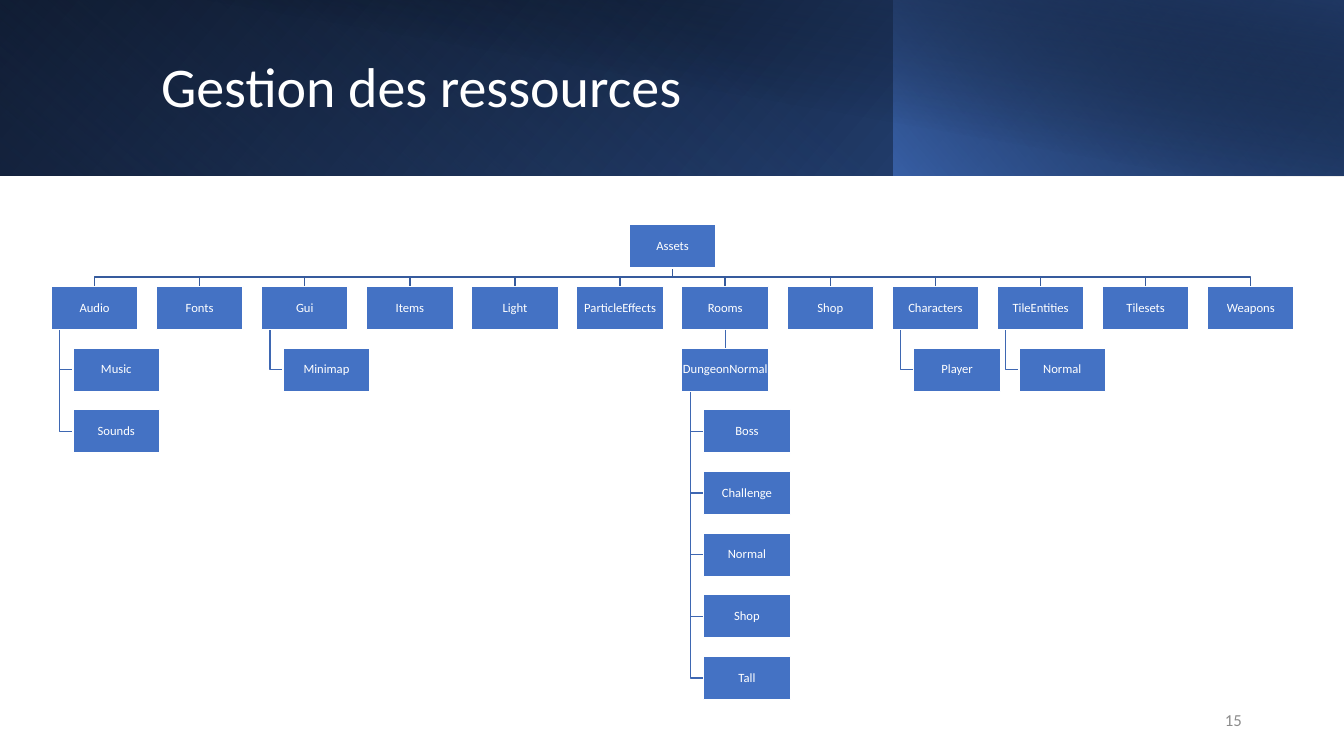
from dataclasses import dataclass

from lxml import etree
from pptx import Presentation
from pptx import util as u
from pptx.dml.color import RGBColor
from pptx.enum import shapes, text
from pptx.oxml import ns


@dataclass(frozen=True)
class Theme:
    font: str = "Calibri"
    white: str = "FFFFFF"
    box: str = "4472C4"
    root_line: str = "365B9D"
    child_line: str = "3E67B2"
    number: str = "8C8C8C"
    black: str = "000000"
    navy: str = "203864"
    blue: str = "2F5597"
    title_size: int = 40
    number_size: int = 12
    box_size: int = 9


theme = Theme()
deck = Presentation()
deck.slide_width, deck.slide_height = u.Pt(960), u.Pt(540)
page = deck.slides.add_slide(deck.slide_layouts[6])


def write(shape, words, size, color, align):
    frame = shape.text_frame
    frame.vertical_anchor = text.MSO_ANCHOR.MIDDLE
    para = frame.paragraphs[0]
    para.text = words
    para.alignment = align
    para.line_spacing = 0.9
    para.font.name = theme.font
    para.font.size = u.Pt(size)
    para.font.color.rgb = RGBColor.from_string(color)
    return frame


def link(points, color):
    corners = [(u.Pt(x), u.Pt(y)) for x, y in points]
    builder = page.shapes.build_freeform(*corners[0])
    builder.add_line_segments(corners[1:], close=False)
    line = builder.convert_to_shape()
    line.shadow.inherit = False
    line.fill.background()
    line.line.color.rgb = RGBColor.from_string(color)
    line.line.width = u.Pt(1)


# Header: layered gradients, each stop is (position, colour, opacity %)
header = [
    (0, 960, 125.3, 0, True, 140, [(0, theme.black, 100), (1, theme.blue, 100)]),
    (0, 639.2, 125.3, 180, True, 230, [(0.2, theme.box, 0), (1, theme.navy, 55)]),
    (638.6, 321.4, 125.3, 0, True, 220, [(0, theme.box, 66), (1, theme.black, 30)]),
    (36, 924, 126, 0, False, 280, [(0.5, theme.black, 0), (0.99, theme.navy, 52)]),
]
for left, width, height, turn, flipped, angle, stops in header:
    band = page.shapes.add_shape(shapes.MSO_SHAPE.RECTANGLE, u.Pt(left), 0, u.Pt(width), u.Pt(height))
    band.shadow.inherit = False
    band.line.fill.background()
    band.rotation = turn
    if flipped:
        band._element.spPr.xfrm.set("flipH", "1")
    band.fill.gradient()
    band.fill.gradient_angle = 360 - angle
    for stop, (position, color, opacity) in zip(band.fill.gradient_stops, stops):
        stop.position = position
        stop.color.rgb = RGBColor.from_string(color)
    for tone, (position, color, opacity) in zip(band._element.spPr.iter(ns.qn("a:srgbClr")), stops):
        etree.SubElement(tone, ns.qn("a:alpha")).set("val", str(opacity * 1000))

# Title and slide number
title = page.shapes.add_textbox(u.Pt(108), u.Pt(23), u.Pt(779), u.Pt(81.4))
write(title, "Gestion des ressources", theme.title_size, theme.white, text.PP_ALIGN.LEFT).word_wrap = True
number = page.shapes.add_textbox(u.Pt(678.2), u.Pt(500.4), u.Pt(216), u.Pt(28.8))
write(number, "15", theme.number_size, theme.number, text.PP_ALIGN.RIGHT).word_wrap = True

# Tree content: folders in order, with the subfolders that hang below them
folders = {
    "Audio": ["Music", "Sounds"],
    "Fonts": [],
    "Gui": ["Minimap"],
    "Items": [],
    "Light": [],
    "ParticleEffects": [],
    "Rooms": [],
    "Shop": [],
    "Characters": ["Player"],
    "TileEntities": ["Normal"],
    "Tilesets": [],
    "Weapons": [],
}
dungeon_rooms = ["Boss", "Challenge", "Normal", "Shop", "Tall"]

# Tree grid
box_width, box_height = 62.05, 31.03
column_pitch, row_pitch = 75.08, 44.06
first_left, first_top = 36.5, 160.4
indent, trunk_inset = box_width / 4, box_width / 10
root_left = first_left + column_pitch * (len(folders) - 1) / 2
root_center, root_bottom = root_left + box_width / 2, first_top + box_height
bus = (root_bottom + first_top + row_pitch) / 2

# Place every box, and draw the links first so that the boxes lie on top
places = [("Assets", root_left, first_top)]
hanging = []
for column, (folder, subfolders) in enumerate(folders.items()):
    left, top = first_left + column * column_pitch, first_top + row_pitch
    center = left + box_width / 2
    link([(root_center, root_bottom), (root_center, bus), (center, bus), (center, top)], theme.root_line)
    places.append((folder, left, top))
    hanging.append((left, top, subfolders))
    if folder == "Rooms":
        places.append(("DungeonNormal", left, top + row_pitch))
        hanging.append((left, top + row_pitch, dungeon_rooms))

for left, top, subfolders in hanging:
    trunk = left + trunk_inset
    for row, subfolder in enumerate(subfolders, 1):
        child_top = top + row * row_pitch
        middle = child_top + box_height / 2
        link([(trunk, top + box_height), (trunk, middle), (left + indent, middle)], theme.child_line)
        places.append((subfolder, left + indent, child_top))

# Boxes
boxes = {}
for name, left, top in places:
    box = page.shapes.add_shape(
        shapes.MSO_SHAPE.RECTANGLE, u.Pt(left), u.Pt(top), u.Pt(box_width), u.Pt(box_height))
    box.shadow.inherit = False
    box.fill.solid()
    box.fill.fore_color.rgb = RGBColor.from_string(theme.box)
    box.line.color.rgb = RGBColor.from_string(theme.white)
    box.line.width = u.Pt(1)
    frame = write(box, name, theme.box_size, theme.white, text.PP_ALIGN.CENTER)
    frame.margin_left = frame.margin_right = frame.margin_top = frame.margin_bottom = u.Pt(0.5)
    frame.word_wrap = False
    boxes[name] = box

# Straight link from Rooms to its only subfolder
drop = page.shapes.add_connector(shapes.MSO_CONNECTOR.STRAIGHT, 0, 0, 0, 0)
drop.begin_connect(boxes["Rooms"], 2)
drop.end_connect(boxes["DungeonNormal"], 0)
drop.line.color.rgb = RGBColor.from_string(theme.child_line)
drop.line.width = u.Pt(1)
etree.SubElement(drop._element.spPr, ns.qn("a:effectLst"))

deck.save("out.pptx")
